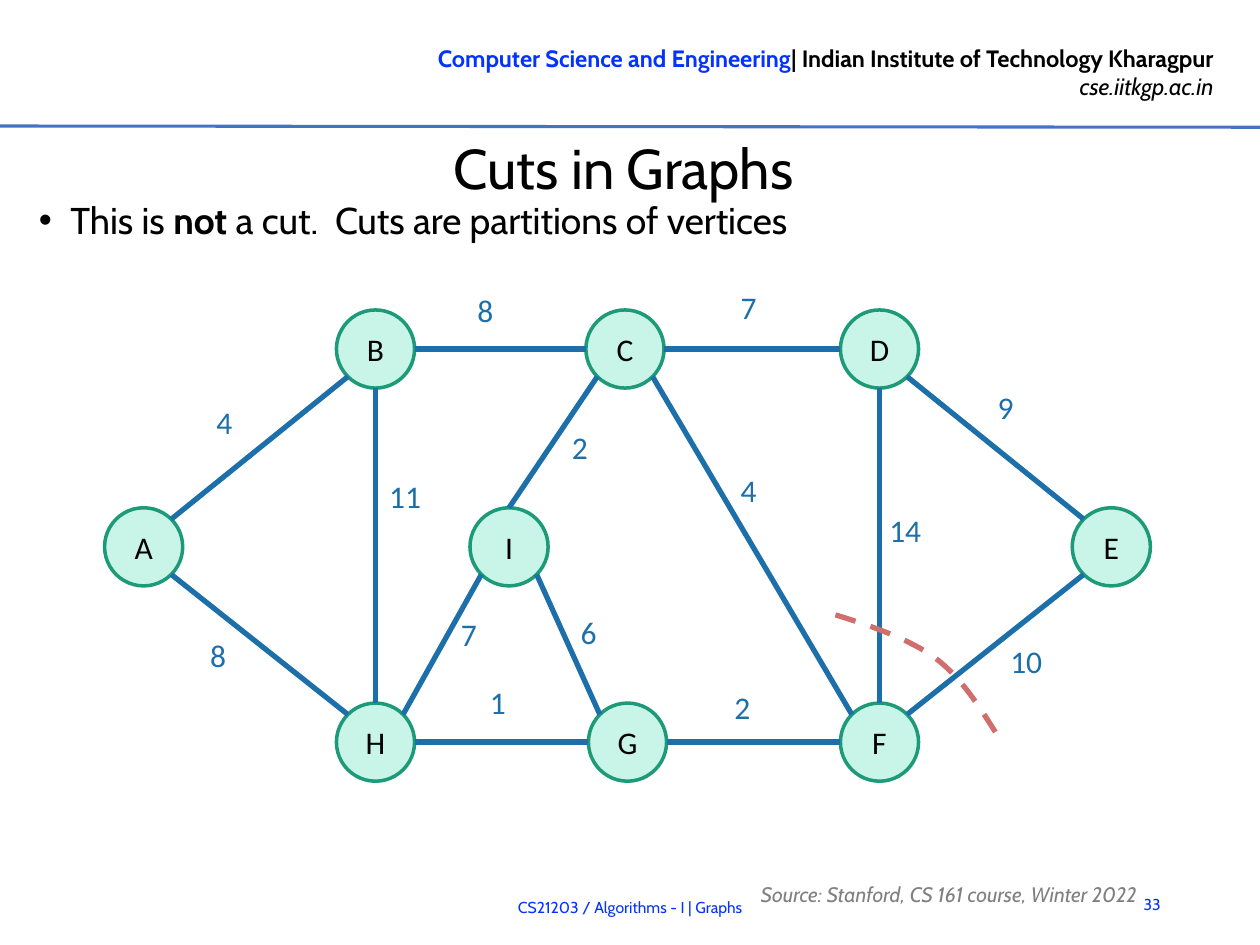
from lxml.etree import SubElement
from pptx import Presentation
from pptx.dml.color import RGBColor
from pptx.enum.dml import MSO_LINE
from pptx.enum.shapes import MSO_CONNECTOR, MSO_SHAPE
from pptx.enum.text import MSO_ANCHOR, PP_ALIGN
from pptx.oxml.ns import qn
from pptx.util import Inches, Pt

THEME = {
    "font": "Cabin", "graph_font": "Calibri",
    "black": "000000", "accent": "0432FF", "gray": "808080", "rule": "4472C4",
    "node_fill": "C8F5E8", "node_line": "1D9A78", "edge": "1D6FA9", "cut": "CF6E6C",
    "title": 32, "body": 21.3, "graph": 18, "header": 13.5, "source": 12, "footer": 9,
}

# Content: each paragraph is a list of (text, colour, style) runs
HEADER = [
    [("Computer Science and Engineering", "accent", "b"),
     ("| Indian Institute of Technology Kharagpur", "black", "b")],
    [("cse.iitkgp.ac.in", "black", "i")],
]
TITLE = [[("Cuts in Graphs", "black", "")]]
BULLET = [[("This is ", "black", ""), ("not", "black", "b"),
           (" a cut.  Cuts are partitions of vertices", "black", "")]]
FOOTER = [[("CS21203 / Algorithms - I | Graphs", "accent", "")]]
SOURCE = [[("Source: Stanford, CS 161 course, Winter 2022", "gray", "i")]]
NUMBER = [[("33", "accent", "")]]

# Graph: vertex left edges by row, with the row's top
NODE_SIZE = 0.62
ROWS = [
    (2.46, {"B": 2.67, "C": 4.65, "D": 6.67}),
    (4.03, {"A": 0.83, "I": 3.73, "E": 8.51}),
    (5.58, {"H": 2.67, "G": 4.67, "F": 6.67}),
]
# Edges: from, side, to, side, weight, label left and top
EDGES = [
    ("C", "BR", "F", "TL", "4", 5.78, 3.69),
    ("C", "R", "D", "L", "7", 5.78, 2.24),
    ("E", "TL", "D", "BR", "9", 7.82, 3.03),
    ("E", "BL", "F", "TR", "10", 7.92, 5.05),
    ("D", "B", "F", "T", "14", 6.96, 4.01),
    ("I", "BR", "G", "TL", "6", 4.51, 4.82),
    ("G", "R", "F", "L", "2", 5.73, 5.41),
    ("I", "T", "C", "BL", "2", 4.44, 3.35),
    ("B", "R", "C", "L", "8", 3.69, 2.26),
    ("A", "TR", "B", "BL", "4", 1.62, 3.15),
    ("A", "BR", "H", "TL", "8", 1.57, 5.0),
    ("G", "L", "H", "R", "1", 3.79, 5.37),
    ("I", "BL", "H", "TR", "7", 3.56, 4.83),
    ("H", "T", "B", "B", "11", 2.99, 3.74),
]
# Cut: two cubic curves
CUT = [
    [(7.9, 5.81), (7.76, 5.59), (7.63, 5.38), (7.42, 5.22)],
    [(7.42, 5.22), (7.21, 5.07), (6.92, 4.97), (6.63, 4.88)],
]

# Connection sites of an ellipse: index and direction from the centre
DIAG = 0.5 ** 0.5
SITES = {
    "T": (0, 0, -1), "TL": (1, -DIAG, -DIAG), "L": (2, -1, 0), "BL": (3, -DIAG, DIAG),
    "B": (4, 0, 1), "BR": (5, DIAG, DIAG), "R": (6, 1, 0), "TR": (7, DIAG, -DIAG),
}


def color(name):
    return RGBColor.from_string(THEME[name])


def box(at):
    return [Inches(v) for v in at]


def write(tf, paragraphs, size, align=PP_ALIGN.LEFT, font="font"):
    for i, runs in enumerate(paragraphs):
        p = tf.paragraphs[0] if i == 0 else tf.add_paragraph()
        p.alignment = align
        for text, tint, style in runs:
            r = p.add_run()
            r.text = text
            r.font.name, r.font.size = THEME[font], Pt(THEME[size])
            r.font.bold, r.font.italic = "b" in style, "i" in style
            r.font.color.rgb = color(tint)


def add_text(s, at, paragraphs, size, align=PP_ALIGN.LEFT,
             anchor=MSO_ANCHOR.TOP, font="font", wrap=True):
    tf = s.shapes.add_textbox(*box(at)).text_frame
    tf.word_wrap, tf.vertical_anchor = wrap, anchor
    write(tf, paragraphs, size, align, font)
    return tf


def add_line(s, start, end, tint, width):
    c = s.shapes.add_connector(MSO_CONNECTOR.STRAIGHT, *box(start + end))
    c.line.color.rgb, c.line.width = color(tint), Pt(width)
    SubElement(c.element.spPr, qn("a:effectLst"))
    return c


def add_node(s, name, left, top):
    sp = s.shapes.add_shape(MSO_SHAPE.OVAL, *box((left, top, NODE_SIZE, NODE_SIZE)))
    sp.shadow.inherit = False
    sp.fill.solid()
    sp.fill.fore_color.rgb = color("node_fill")
    sp.line.color.rgb, sp.line.width = color("node_line"), Pt(2)
    sp.text_frame.vertical_anchor = MSO_ANCHOR.MIDDLE
    write(sp.text_frame, [[(name, "black", "")]], "graph", PP_ALIGN.CENTER, "graph_font")
    return sp


def site_point(corner, side):
    _, dx, dy = SITES[side]
    half = NODE_SIZE / 2
    return corner[0] + half * (1 + dx), corner[1] + half * (1 + dy)


def add_edge(s, nodes, corners, start, start_side, end, end_side):
    c = add_line(s, site_point(corners[start], start_side),
                 site_point(corners[end], end_side), "edge", 3)
    props = c.element.find(".//" + qn("p:cNvCxnSpPr"))
    for tag, name, side in (("a:stCxn", start, start_side), ("a:endCxn", end, end_side)):
        SubElement(props, qn(tag), id=str(nodes[name].shape_id), idx=str(SITES[side][0]))


def curve_points(curve, steps=16):
    for k in range(steps + 1):
        t = k / steps
        weights = ((1 - t) ** 3, 3 * t * (1 - t) ** 2, 3 * t * t * (1 - t), t ** 3)
        yield tuple(Inches(sum(w * pt[axis] for w, pt in zip(weights, curve)))
                    for axis in (0, 1))


def add_cut(s):
    first, *rest = [pt for curve in CUT for pt in curve_points(curve)]
    fb = s.shapes.build_freeform(*first)
    fb.add_line_segments(rest, close=False)
    sp = fb.convert_to_shape()
    sp.shadow.inherit = False
    sp.fill.background()
    sp.line.color.rgb, sp.line.width = color("cut"), Pt(3)
    sp.line.dash_style = MSO_LINE.DASH


def main():
    prs = Presentation()
    prs.slide_width, prs.slide_height = Inches(10), Inches(7.5)
    s = prs.slides.add_slide(prs.slide_layouts[6])
    middle = MSO_ANCHOR.MIDDLE

    # Header and rule
    add_text(s, (2.65, 0.3, 7.08, 0.56), HEADER, "header", PP_ALIGN.RIGHT, wrap=False)
    add_line(s, (0, 1), (10, 1.01), "rule", 1.75)

    # Title
    tf = add_text(s, (0.32, 1.05, 9.26, 0.55), TITLE, "title", PP_ALIGN.CENTER, middle)
    tf.margin_left = tf.margin_right = tf.margin_bottom = 0
    tf.margin_top = Inches(0.01)

    # Bullet
    p = add_text(s, (0.21, 1.54, 9.37, 0.88), BULLET, "body").paragraphs[0]
    p.line_spacing, p.space_after = Pt(24), Pt(4)
    pPr = p._p.get_or_add_pPr()
    pPr.set("marL", str(Inches(0.25)))
    pPr.set("indent", str(Inches(-0.25)))
    SubElement(pPr, qn("a:buFont"), typeface="Arial")
    SubElement(pPr, qn("a:buChar"), char="•")

    # Footer
    add_text(s, (8.82, 6.98, 0.49, 0.4), NUMBER, "footer", PP_ALIGN.RIGHT, middle)
    add_text(s, (1.65, 7, 6.7, 0.4), FOOTER, "footer", PP_ALIGN.CENTER, middle)
    tf = add_text(s, (5.94, 6.93, 4.02, 0.23), SOURCE, "source", anchor=middle)
    tf.paragraphs[0].line_spacing = Pt(21.3)

    # Graph
    corners = {name: (left, top) for top, row in ROWS for name, left in row.items()}
    nodes = {name: add_node(s, name, *corner) for name, corner in corners.items()}
    for *ends, weight, left, top in EDGES:
        add_edge(s, nodes, corners, *ends)
        add_text(s, (left, top, 0.86, 0.5), [[(weight, "edge", "")]], "graph",
                 font="graph_font")
    add_cut(s)

    prs.save("out.pptx")


if __name__ == "__main__":
    main()
